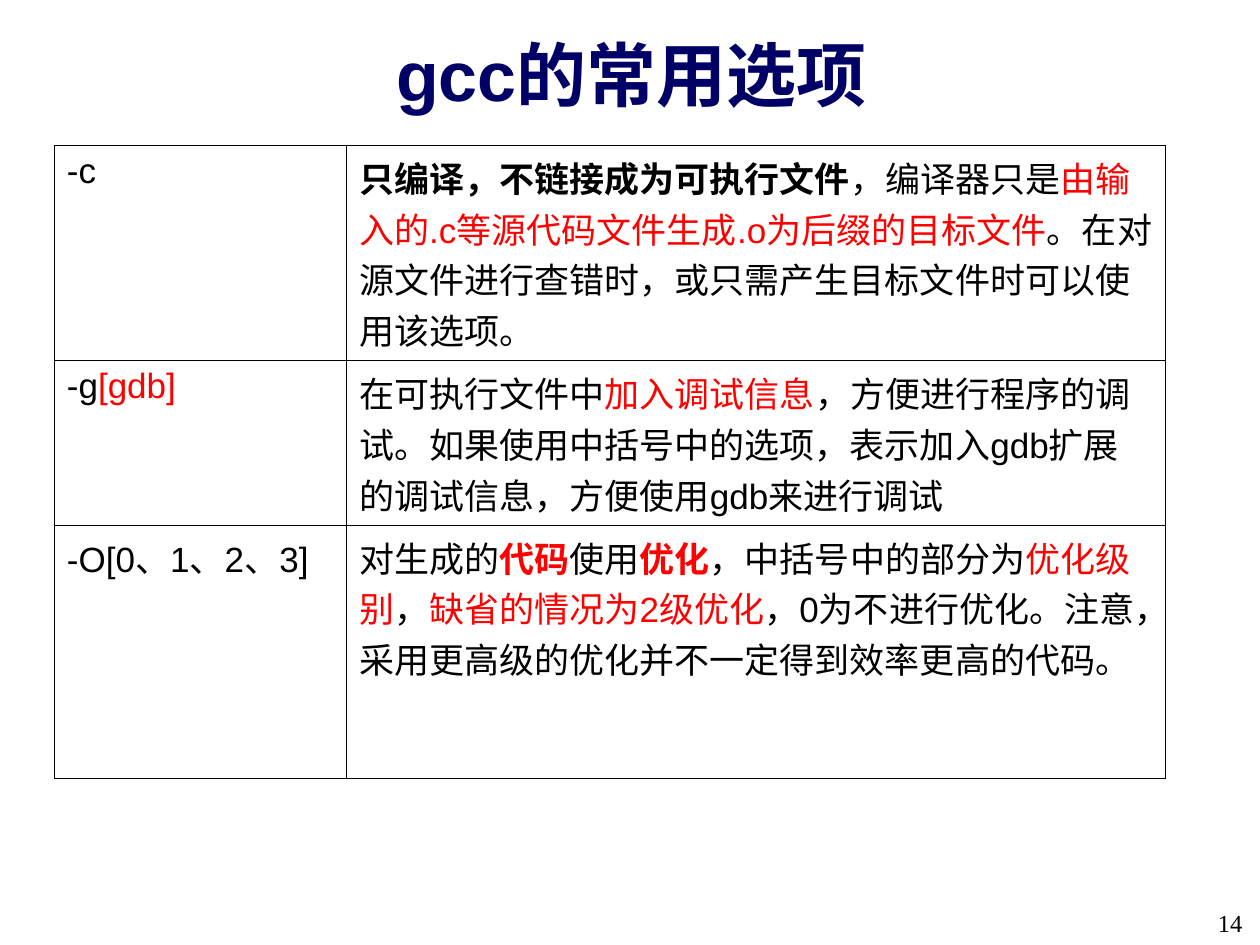
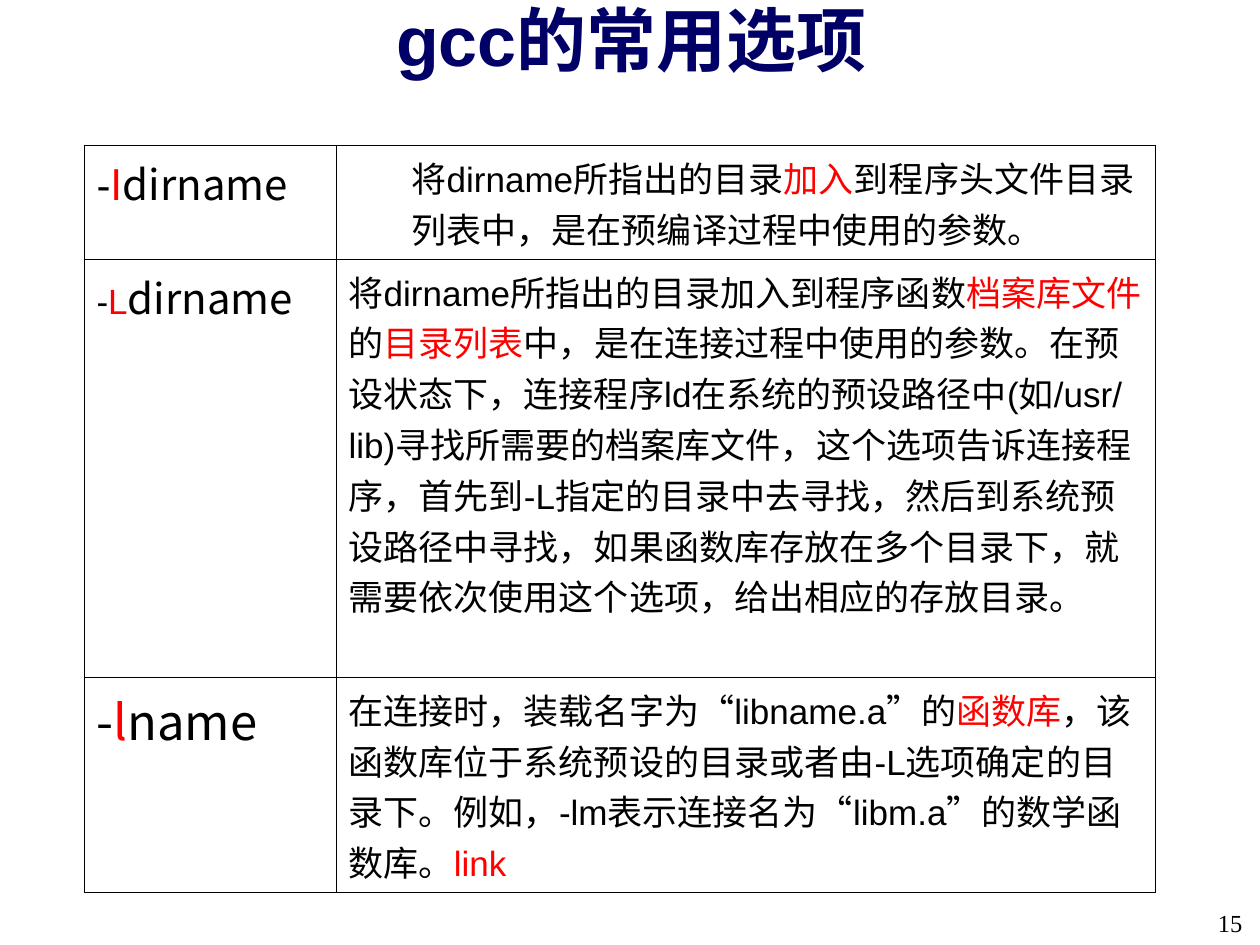
from lxml import etree
from pptx import Presentation
from pptx.dml.color import RGBColor
from pptx.enum.text import MSO_ANCHOR, PP_ALIGN
from pptx.oxml.ns import qn
from pptx.util import Pt

NAVY = RGBColor(0x00, 0x00, 0x66)
BLACK = RGBColor(0x00, 0x00, 0x00)
NEAR_BLACK = RGBColor(0x01, 0x00, 0x00)
RED = RGBColor(0xFF, 0x00, 0x00)
WHITE = RGBColor(0xFF, 0xFF, 0xFF)
LATIN, CJK, SERIF = "Arial", "Noto Sans CJK SC", "Times New Roman"

TITLE = {"size": Pt(40), "name": LATIN, "bold": True, "color": NAVY}
PAGE_NUMBER = {"size": Pt(14), "name": SERIF, "color": NEAR_BLACK}
BODY = {"size": Pt(20), "name": LATIN, "color": BLACK}
BODY_RED = {**BODY, "color": RED}
BODY_BOLD = {**BODY, "bold": True}
RED_BOLD = {**BODY_RED, "bold": True}
DASH_24 = {**BODY, "size": Pt(24)}
CJK_24 = {**BODY, "size": Pt(24), "name": CJK}
CJK_24_RED = {**CJK_24, "color": RED}
CJK_28 = {**CJK_24, "size": Pt(28)}
CJK_28_RED = {**CJK_28, "color": RED}

# Each row: height, option runs, explanation runs, explanation indent
SLIDES = [
    {
        "number": "14", "title_top": 20.16, "title_height": 72.72,
        "table_left": 31, "columns": (167, 468),
        "rows": [
            (123, [("-c", BODY)], [
                ("只编译，不链接成为可执行文件", BODY_BOLD),
                ("，编译器只是", BODY),
                ("由输入的.c等源代码文件生成.o为后缀的目标文件", BODY_RED),
                ("。在对源文件进行查错时，或只需产生目标文件时可以使用该选项。", BODY),
            ], 0),
            (94, [("-g", BODY), ("[gdb]", BODY_RED)], [
                ("在可执行文件中", BODY),
                ("加入调试信息", BODY_RED),
                ("，方便进行程序的调试。如果使用中括号中的选项，表示加入gdb扩展"
                 "的调试信息，方便使用gdb来进行调试", BODY),
            ], 0),
            (145, [("-O[0、1、2、3]", BODY)], [
                ("对生成的", BODY),
                ("代码", RED_BOLD),
                ("使用", BODY),
                ("优化", RED_BOLD),
                ("，中括号中的部分为", BODY),
                ("优化级别", BODY_RED),
                ("，", BODY),
                ("缺省的情况为2级优化", BODY_RED),
                ("，0为不进行优化。注意，采用更高级的优化并不一定得到效率更高的代码。", BODY),
            ], 0),
        ],
    },
    {
        "number": "15", "title_top": 0, "title_height": 108,
        "table_left": 48, "columns": (144, 468),
        "rows": [
            (65, [("-", DASH_24), ("I", CJK_24_RED), ("dirname", CJK_24)], [
                ("将dirname所指出的目录", BODY),
                ("加入", BODY_RED),
                ("到程序头文件目录列表中，是在预编译过程中使用的参数。", BODY),
            ], 36),
            (239, [("-", BODY), ("L", BODY_RED), ("dirname", CJK_24)], [
                ("将dirname所指出的目录加入到程序函数", BODY),
                ("档案库文件", BODY_RED),
                ("的", BODY),
                ("目录列表", BODY_RED),
                ("中，是在连接过程中使用的参数。在预设状态下，连接程序ld在系统的"
                 "预设路径中(如/usr/lib)寻找所需要的档案库文件，这个选项告诉连接程序，"
                 "首先到-L指定的目录中去寻找，然后到系统预设路径中寻找，如果函数库存放"
                 "在多个目录下，就需要依次使用这个选项，给出相应的存放目录。", BODY),
            ], 0),
            (123, [("-", CJK_28), ("l", CJK_28_RED), ("name", CJK_28)], [
                ("在连接时，装载名字为“libname.a”的", BODY),
                ("函数库", BODY_RED),
                ("，该函数库位于系统预设的目录或者由-L选项确定的目录下。"
                 "例如，-lm表示连接名为“libm.a”的数学函数库。", BODY),
                ("link", BODY_RED),
            ], 0),
        ],
    },
]


def write_runs(paragraph, runs):
    for text, look in runs:
        run = paragraph.add_run()
        run.text = text
        for attribute, value in look.items():
            if attribute == "color":
                run.font.color.rgb = value
            else:
                setattr(run.font, attribute, value)
        east_asian = etree.Element(qn("a:ea"), typeface=CJK)
        run.font._element.find(qn("a:latin")).addnext(east_asian)


def style_cell(cell):
    """Give the cell thin black borders and a white fill."""
    properties = cell._tc.get_or_add_tcPr()
    for side in ("a:lnL", "a:lnR", "a:lnT", "a:lnB"):
        border = etree.SubElement(properties, qn(side), w=str(Pt(0.45)))
        fill = etree.SubElement(border, qn("a:solidFill"))
        etree.SubElement(fill, qn("a:srgbClr"), val=str(BLACK))
    cell.fill.solid()
    cell.fill.fore_color.rgb = WHITE
    margins = {"margin_left": 7.2, "margin_right": 7.2,
               "margin_top": 3.6, "margin_bottom": 3.6}
    for margin, value in margins.items():
        setattr(cell, margin, Pt(value))


deck = Presentation()
deck.slide_width, deck.slide_height = Pt(720), Pt(540)

for content in SLIDES:
    slide = deck.slides.add_slide(deck.slide_layouts[6])
    slide.background.fill.solid()
    slide.background.fill.fore_color.rgb = WHITE

    captions = [
        ((662.4, 515.5, 54.7, 24.5), 7.2, PP_ALIGN.RIGHT, 1.0,
         content["number"], PAGE_NUMBER),
        ((36.7, content["title_top"], 648, content["title_height"]), 6.5,
         PP_ALIGN.CENTER, 0.9, "gcc的常用选项", TITLE),
    ]
    for place, side_margin, alignment, spacing, text, look in captions:
        caption = slide.shapes.add_textbox(*map(Pt, place)).text_frame
        caption.word_wrap = True
        caption.vertical_anchor = MSO_ANCHOR.TOP
        caption.margin_left = caption.margin_right = Pt(side_margin)
        paragraph = caption.paragraphs[0]
        paragraph.alignment = alignment
        paragraph.line_spacing = spacing
        write_runs(paragraph, [(text, look)])

    rows, columns = content["rows"], content["columns"]
    options = slide.shapes.add_table(
        len(rows), len(columns), Pt(content["table_left"]), Pt(83),
        Pt(sum(columns)), Pt(sum(row[0] for row in rows))).table
    options.first_row = options.horz_banding = False
    for column, width in zip(options.columns, columns):
        column.width = Pt(width)
    for row, (height, option, explanation, indent) in zip(options.rows, rows):
        row.height = Pt(height)
        for cell, runs in zip(row.cells, (option, explanation)):
            style_cell(cell)
            write_runs(cell.text_frame.paragraphs[0], runs)
        if indent:
            explained = row.cells[1].text_frame.paragraphs[0]
            explained.level = 1
            layout = explained._p.get_or_add_pPr()
            layout.set("marL", str(Pt(indent)))
            layout.set("indent", "0")

deck.save("out.pptx")
